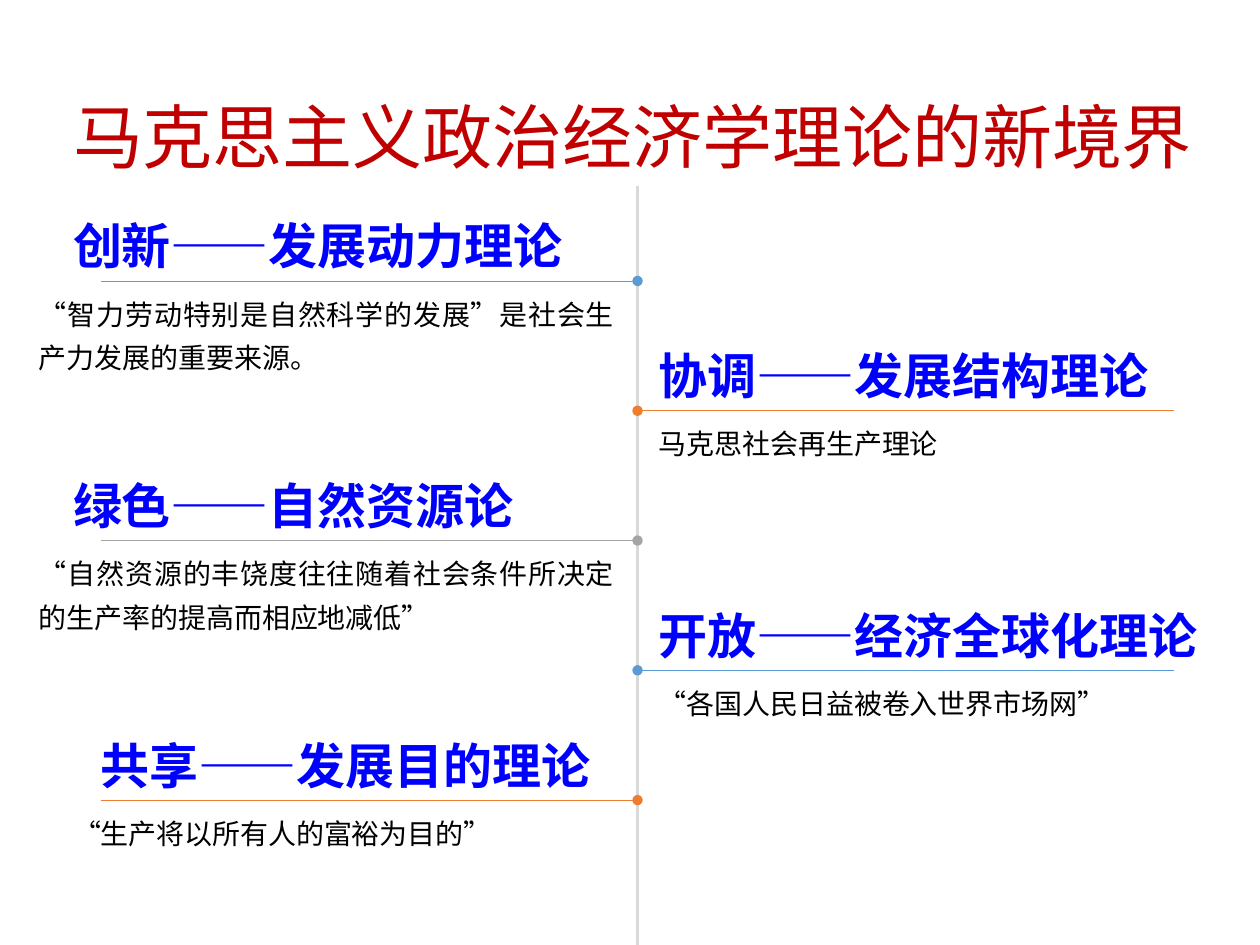
from lxml.etree import SubElement
from pptx import Presentation
from pptx.dml.color import RGBColor
from pptx.enum.shapes import MSO_CONNECTOR as Link
from pptx.enum.text import MSO_ANCHOR as Anchor, PP_ALIGN as Align
from pptx.oxml.ns import qn
from pptx.util import Inches, Pt

RED = RGBColor(0xC0, 0x00, 0x00)
BLUE = RGBColor(0x00, 0x00, 0xFF)
BLACK = RGBColor(0x00, 0x00, 0x00)
PALE = RGBColor(0xD9, 0xD9, 0xD9)
SKY = RGBColor(0x5B, 0x9B, 0xD5)
ORANGE = RGBColor(0xED, 0x7D, 0x31)
GREY = RGBColor(0xA5, 0xA5, 0xA5)

AXIS = 5.06
BRANCH = 4.26
FIRST_ROW, ROW = 2.23, 1.03
HEADING_HEIGHT = 0.48
RIGHT_TEXT = 5.23

THEORIES = [
    ("创新——发展动力理论", "“智力劳动特别是自然科学的发展”是社会生产力发展的重要来源。",
     SKY, (0.58, 4.3), (0.31, 4.57, 1.19)),
    ("协调——发展结构理论", "马克思社会再生产理论",
     ORANGE, (RIGHT_TEXT, 4.08), (RIGHT_TEXT, 4.6, 1.26)),
    ("绿色——自然资源论", "“自然资源的丰饶度往往随着社会条件所决定的生产率的提高而相应地减低”",
     GREY, (0.58, 4.3), (0.31, 4.57, 1.3)),
    ("开放——经济全球化理论", "“各国人民日益被卷入世界市场网”",
     SKY, (RIGHT_TEXT, 4.4), (RIGHT_TEXT, 4.53, 1.16)),
    ("共享——发展目的理论", "“生产将以所有人的富裕为目的”",
     ORANGE, (0.8, 4.08), (0.58, 4.3, 1.07)),
]


class Timeline:
    """Draws the title, axis and branches of a timeline on one slide."""

    title_font = "Noto Sans CJK JP"
    text_font = "Noto Sans CJK SC"

    def __init__(self, slide):
        self.shapes = slide.shapes

    def text(self, box, words, size, color, font=text_font, bold=False,
             align=Align.JUSTIFY, anchor=Anchor.TOP, spacing=None, side=0, bottom=0.05):
        frame = self.shapes.add_textbox(*map(Inches, box)).text_frame
        frame.word_wrap = True
        frame.vertical_anchor = anchor
        frame.margin_left = frame.margin_right = Inches(side)
        frame.margin_top, frame.margin_bottom = Inches(0.05), Inches(bottom)
        paragraph = frame.paragraphs[0]
        paragraph.alignment = align
        if spacing:
            paragraph.line_spacing = spacing
        run = paragraph.add_run()
        run.text = words
        run.font.size, run.font.bold, run.font.name = Pt(size), bold, font
        run.font.color.rgb = color
        properties = run.font._element
        properties.set("lang", "zh-CN")
        SubElement(properties, qn("a:ea"), typeface=font)

    def title(self, words):
        self.text((0.13, -0.02, 9.78, 1.69), words, 40, RED, self.title_font,
                  align=Align.CENTER, anchor=Anchor.BOTTOM, side=0.1, bottom=0.26)

    def line(self, start, end, color, width, dot=False):
        connector = self.shapes.add_connector(Link.STRAIGHT, *map(Inches, start + end))
        connector.line.color.rgb = color
        connector.line.width = Pt(width)
        if dot:
            SubElement(connector.line._get_or_add_ln(), qn("a:tailEnd"), type="oval")
        SubElement(connector._element.spPr, qn("a:effectLst"))

    def branch(self, index, heading, detail, color, heading_span, detail_span):
        y = FIRST_ROW + index * ROW
        tip = AXIS + BRANCH * (1 if index % 2 else -1)
        self.line((tip, y), (AXIS, y), color, 0.5, dot=True)
        left, width = heading_span
        self.text((left, y - HEADING_HEIGHT, width, HEADING_HEIGHT), heading, 28, BLUE,
                  bold=True, anchor=Anchor.BOTTOM)
        left, width, height = detail_span
        self.text((left, y, width, height), detail, 16, BLACK, spacing=1.3)


def main():
    deck = Presentation()
    deck.slide_width, deck.slide_height = Inches(10), Inches(7.5)
    timeline = Timeline(deck.slides.add_slide(deck.slide_layouts[6]))
    timeline.title("马克思主义政治经济学理论的新境界")
    timeline.line((AXIS, 1.48), (AXIS, 7.69), PALE, 1.5)
    for index, theory in enumerate(THEORIES):
        timeline.branch(index, *theory)
    deck.save("out.pptx")


if __name__ == "__main__":
    main()
